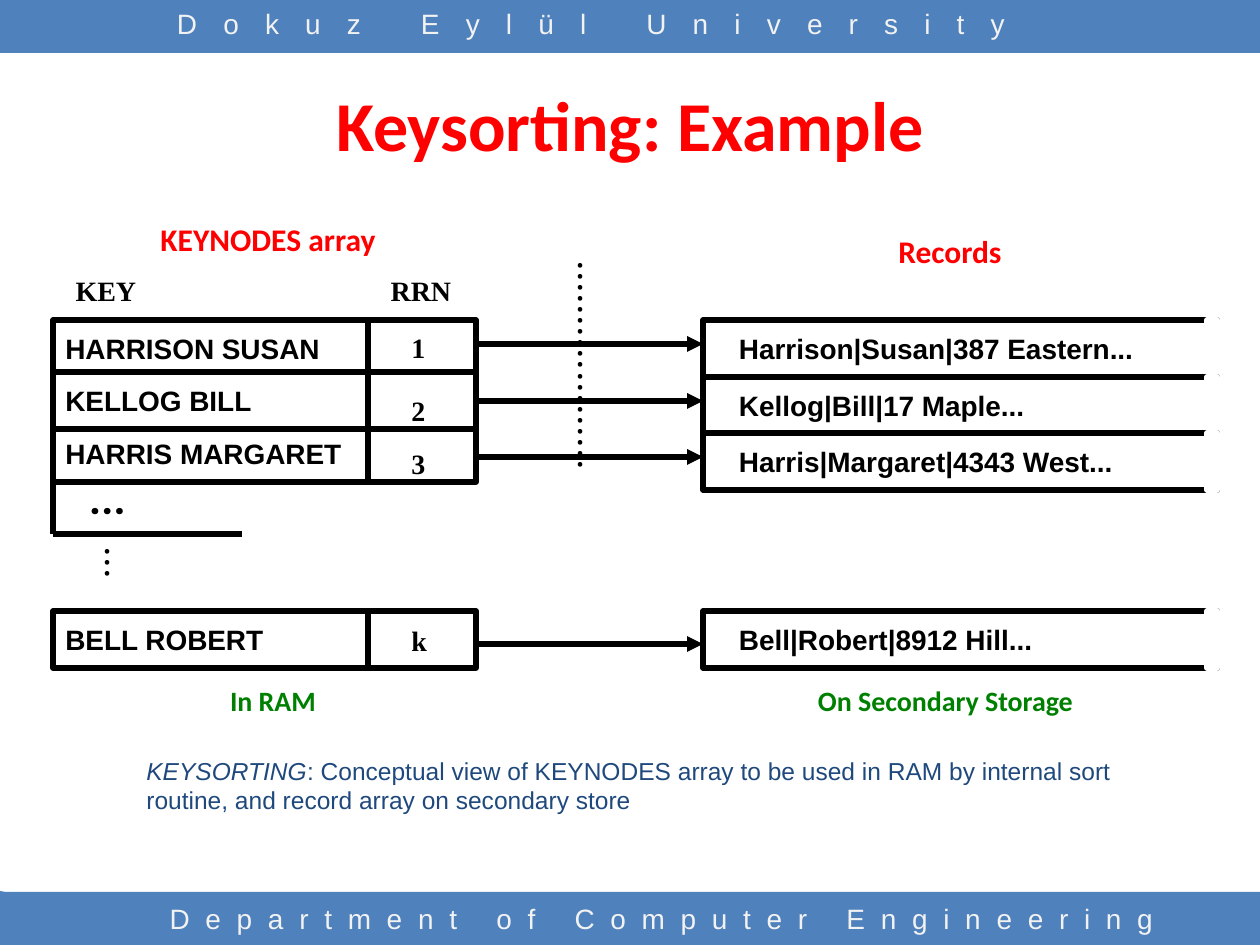
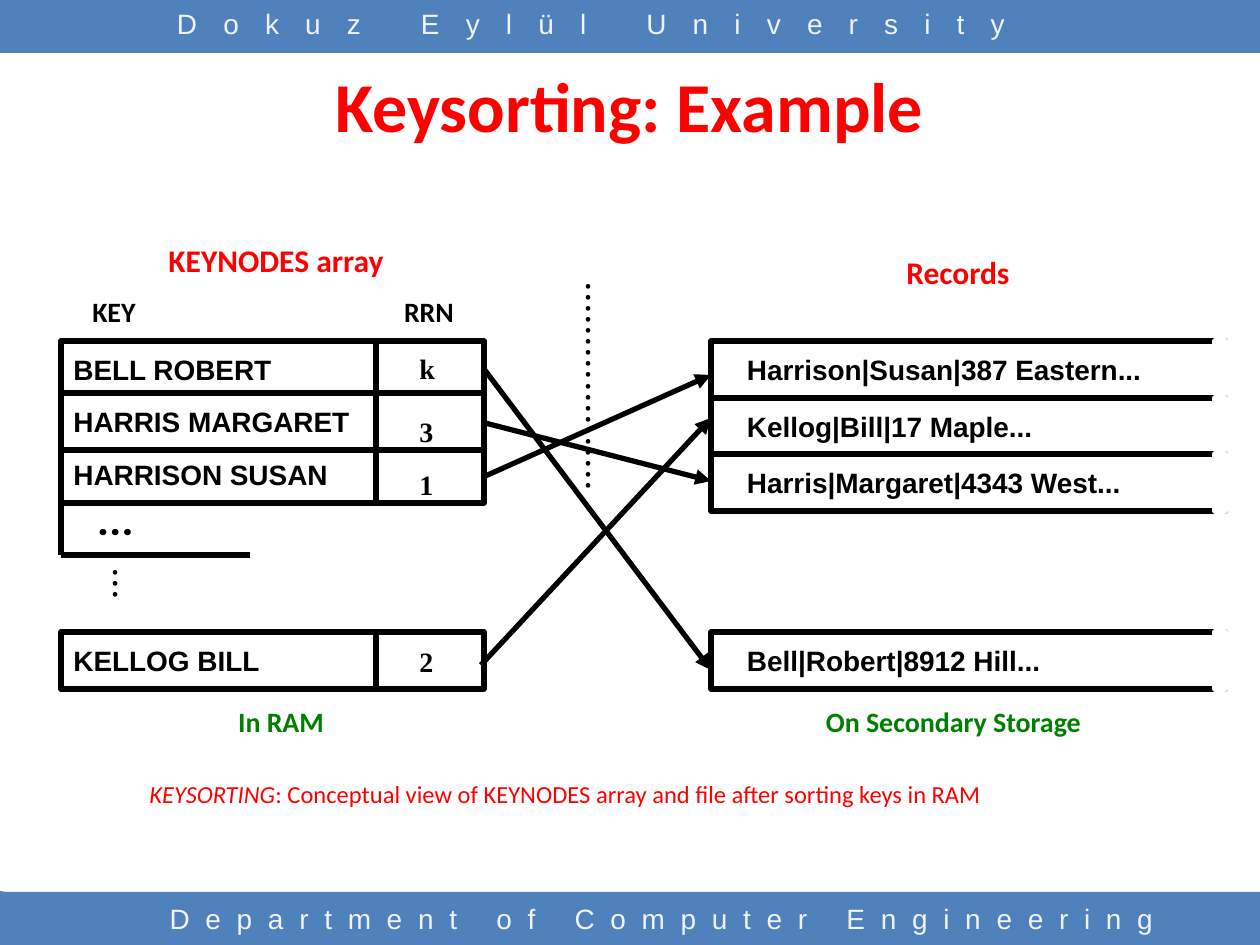
from pptx import Presentation
from pptx.dml.color import RGBColor
from pptx.enum.shapes import MSO_CONNECTOR, MSO_SHAPE
from pptx.enum.text import MSO_ANCHOR, PP_ALIGN
from pptx.oxml.ns import qn
from pptx.util import Pt
from lxml import etree

WIDTH, HEIGHT = 1260, 945
EMU_PER_PIXEL = 914400 / 126
RECTANGLE, STRAIGHT = MSO_SHAPE.RECTANGLE, MSO_CONNECTOR.STRAIGHT
LEFT, CENTER = PP_ALIGN.LEFT, PP_ALIGN.CENTER
TOP, MIDDLE = MSO_ANCHOR.TOP, MSO_ANCHOR.MIDDLE
BLACK = RGBColor(0x00, 0x00, 0x00)
WHITE = RGBColor(0xFF, 0xFF, 0xFF)
RED = RGBColor(0xFF, 0x00, 0x00)
GREEN = RGBColor(0x00, 0x80, 0x00)
NAVY = RGBColor(0x1F, 0x49, 0x7D)
BAND = RGBColor(0x4F, 0x81, 0xBD)
PALE = RGBColor(0xF2, 0xF2, 0xF2)
SANS, TITLE_FONT, SERIF, DOTS = "Arial", "Calibri", "Times New Roman", "Roboto"

CELL = 57
KEY_ROWS = [320, 372, 425, 611]
NUMBER_ROWS = [324, 387, 440, 617]
RECORD_ROWS = [320, 377, 433, 611]
ARROW_STARTS = [344, 401, 457, 644]
DRAW_ORDER = [2, 0, 1]
RECORDS = ["Harrison|Susan|387 Eastern...", "Kellog|Bill|17 Maple...",
           "Harris|Margaret|4343 West...", "Bell|Robert|8912 Hill..."]


def emu(pixels):
    """Turn pixels into EMU."""
    return round(pixels * EMU_PER_PIXEL)


def write(shape, text, size=16, font=SANS, color=BLACK, bold=False, align=CENTER,
          anchor=MIDDLE, wrap=True, spacing=0, lead="", inset=None, vertical=False):
    """Fill a shape with one formatted paragraph, led by optional italic words."""
    frame = shape.text_frame
    frame.word_wrap, frame.vertical_anchor = wrap, anchor
    if inset is not None:
        frame.margin_left = emu(inset)
    if vertical:
        shape._element.txBody.find(qn("a:bodyPr")).set("vert", "eaVert")
    para = frame.paragraphs[0]
    para.alignment = align
    for words, italic in ((lead, True), (text, False)):
        if not words:
            continue
        span = para.add_run()
        span.text = words
        span.font.size, span.font.name = Pt(size), font
        span.font.bold, span.font.italic = bold, italic
        span.font.color.rgb = color
        if spacing:
            span._r.get_or_add_rPr().set("spc", str(spacing * 100))


class Deck:
    """Hold the presentation, the current slide and the diagram offset."""

    def __init__(self):
        self.deck = Presentation()
        self.deck.slide_width, self.deck.slide_height = emu(WIDTH), emu(HEIGHT)

    def page(self):
        """Start a slide with the shared bands."""
        self.shapes = self.deck.slides.add_slide(self.deck.slide_layouts[6]).shapes
        self.dx = self.dy = 0
        self.box(0, 0, WIDTH, 53, BAND)
        self.box(0, 892, WIDTH, 53, BAND)
        self.outline([(111, 893), (116, 893), (116, 945), (59, 945)], BAND)
        self.outline([(0, 891), (5, 892), (58, 945), (0, 945)], BAND)
        self.text(116, 895, 1092, 50, "Department of Computer Engineering",
                  color=PALE, spacing=9, anchor=TOP)
        self.text(82, 0, 1019, 53, "Dokuz Eylül University",
                  color=PALE, spacing=15, anchor=TOP)

    def place(self, left, top, width, height):
        """Return a shifted rectangle in EMU."""
        return emu(left + self.dx), emu(top + self.dy), emu(width), emu(height)

    def box(self, left, top, width, height, fill=WHITE, line=None):
        """Add a rectangle."""
        shape = self.shapes.add_shape(RECTANGLE, *self.place(left, top, width, height))
        self.paint(shape, fill, line)
        return shape

    def outline(self, points, fill):
        """Add a filled polygon."""
        builder = self.shapes.build_freeform(*points[0], scale=EMU_PER_PIXEL)
        builder.add_line_segments(points[1:])
        self.paint(builder.convert_to_shape(), fill, None)

    def paint(self, shape, fill, line):
        """Set fill and line and drop the shadow."""
        shape.shadow.inherit = False
        shape.fill.solid()
        shape.fill.fore_color.rgb = fill
        if line is None:
            shape.line.fill.background()
        else:
            shape.line.color.rgb, shape.line.width = line, Pt(3)

    def text(self, left, top, width, height, words, **style):
        """Add a text box."""
        write(self.shapes.add_textbox(*self.place(left, top, width, height)), words, **style)

    def label(self, left, top, width, height, words, **style):
        """Add a bold, unwrapped label."""
        self.text(left, top, width, height, words, **{"bold": True, "wrap": False, **style})

    def line(self, x1, y1, x2, y2, arrow=False):
        """Add a black line, with an arrowhead if asked."""
        line = self.shapes.add_connector(STRAIGHT, emu(x1 + self.dx), emu(y1 + self.dy),
                                         emu(x2 + self.dx), emu(y2 + self.dy))
        line.line.color.rgb, line.line.width = BLACK, Pt(3)
        if arrow:
            etree.SubElement(line.line._get_or_add_ln(), qn("a:tailEnd"), type="triangle")
        etree.SubElement(line._element.spPr, qn("a:effectLst"))

    def key(self, top, words):
        """Add a key row."""
        write(self.box(53, top, 420, CELL, line=BLACK), words, bold=True, align=LEFT)

    def number_cell(self, top):
        """Add an empty RRN cell."""
        self.box(368, top, 108, CELL, line=BLACK)

    def record(self, top, words):
        """Add a record row that is open on the right."""
        write(self.box(703, top, 514, CELL, line=BLACK), words, bold=True, align=LEFT, inset=36)
        self.box(1207, top, 10, CELL, line=WHITE)

    def diagram(self, keys, numbers, arrow_ends, heading_font, dx=0, dy=0):
        """Draw the key array, the records and the arrows between them."""
        self.dx, self.dy = dx, dy
        self.label(557, 248, 76, 490, "." * 19, size=24, font=DOTS, bold=False, vertical=True)
        self.label(146, 214, 244, 50, "KEYNODES array", size=18, font=TITLE_FONT, color=RED)
        self.label(882, 226, 136, 50, "Records", size=18, font=TITLE_FONT, color=RED)
        self.label(63, 267, 86, 47, "KEY", font=heading_font)
        self.label(378, 267, 86, 47, "RRN", font=heading_font)
        for row in DRAW_ORDER + [3]:
            self.key(KEY_ROWS[row], keys[row])
        self.number_cell(KEY_ROWS[3])
        self.label(57, 466, 101, 63, "...", size=24, font=DOTS)
        self.label(84, 534, 76, 88, "...", size=24, font=DOTS, bold=False, vertical=True)
        self.line(53, 478, 53, 534)
        self.line(53, 534, 242, 534)
        for top, words in zip(RECORD_ROWS, RECORDS):
            self.record(top, words)
        for start, end in zip(ARROW_STARTS, arrow_ends):
            self.line(473, start, 703, end, arrow=True)
        for row in DRAW_ORDER:
            self.number_cell(KEY_ROWS[row])
        for top, number in zip(NUMBER_ROWS, numbers):
            self.label(399, top, 39, 47, number, font=SERIF)
        self.label(217, 677, 112, 47, "In RAM", font=TITLE_FONT, color=GREEN)
        self.label(798, 677, 295, 47, "On Secondary Storage", font=TITLE_FONT, color=GREEN)
        self.dx = self.dy = 0

    def title(self, left, top, width, height):
        """Add the slide title."""
        self.text(left, top, width, height, "Keysorting: Example",
                  size=40, font=TITLE_FONT, color=RED, bold=True)

    def caption(self, left, top, width, words, font, color):
        """Add the caption below the diagram."""
        self.text(left, top, width, 87, words, size=14, font=font, color=color,
                  align=LEFT, lead="KEYSORTING")


show = Deck()

show.page()
show.diagram(["HARRISON SUSAN", "KELLOG BILL", "HARRIS MARGARET", "BELL ROBERT"],
             "123k", ARROW_STARTS, SERIF)
show.caption(134, 742, 1029, ": Conceptual view of KEYNODES array to be used in RAM by internal "
             "sort routine, and record array on secondary store", SANS, NAVY)
show.title(63, 52, 1134, 144)

show.page()
show.diagram(["BELL ROBERT", "HARRIS MARGARET", "HARRISON SUSAN", "KELLOG BILL"],
             "k312", [649, 460, 354, 397], TITLE_FONT, dx=8, dy=21)
show.caption(137, 750, 1018, ": Conceptual view of KEYNODES array and file after sorting "
             "keys in RAM", TITLE_FONT, RED)
show.title(94, 45, 1071, 118)

show.deck.save("out.pptx")
